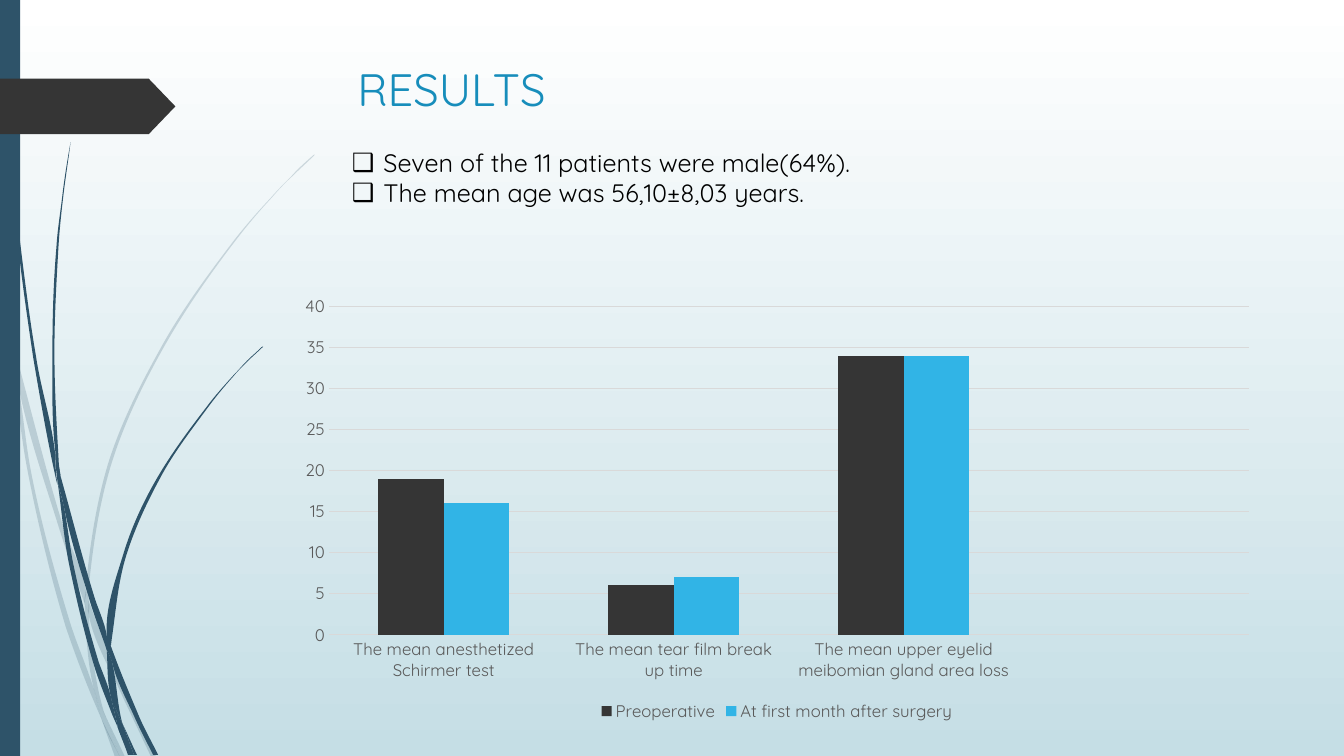
from dataclasses import dataclass
from math import hypot

from lxml.etree import SubElement
from pptx import Presentation
from pptx.chart.data import CategoryChartData
from pptx.dml.color import RGBColor
from pptx.enum.chart import XL_CHART_TYPE, XL_LEGEND_POSITION, XL_TICK_MARK
from pptx.enum.shapes import MSO_SHAPE
from pptx.enum.text import MSO_ANCHOR, MSO_AUTO_SIZE, PP_ALIGN
from pptx.oxml.ns import qn
from pptx.util import Pt


@dataclass(frozen=True)
class Theme:
    font: str = "Quicksand"
    title_size: float = 32.4
    body_size: float = 18
    chart_size: float = 12
    top: str = "FFFFFF"
    bottom: str = "C5DEE5"
    stem: str = "2E5369"
    dark: str = "353535"
    title: str = "178DBB"
    body: str = "000000"
    label: str = "595959"
    grid: str = "D9D9D9"
    accent: str = "31B4E6"


# Stem pieces: corner and curve points, in steps of STEM_UNIT
STEM_UNIT = Pt(0.72)
PALE_STEMS = [
    "11,350 9,322 0,282 0,299 10,344",
    "58,522 84,599 85,586 62,520 14,345 17,376",
    "92,607 88,596 88,610 123,694 150,751 155,751 127,692",
    "119,751 124,751 105,711",
    "93,683 70,619 31,469 17,376 11,350 28,470 65,621 92,693 101,714 99,707",
    "84,599 87,646 93,683 96,692 105,711 103,706 91,646 88,610 88,608",
    "88,584 110,462 160,349 229,245 268,198 290,175 312,154 312,153 "
    "289,175 268,197 228,244 158,348 107,461 85,584 85,586 88,596",
    "101,714 114,751 119,751",
    "88,608 88,610 88,596 85,586 84,599",
    "96,692 93,683 99,707 101,714 119,751 105,711",
]
DARK_STEMS = [
    "7,110 17,233 33,355 56,477 57,481 55,457 55,453 36,355 19,232 8,109 "
    "5,48 4,0 3,0 4,48",
    "88,592 106,645 106,633 106,631 93,590 60,472 64,505",
    "113,649 110,641 111,656 132,708 152,749 157,749 136,706",
    "110,691 98,657 72,556 64,505 57,477 68,557 93,659 111,708 117,722 116,717",
    "60,472 58,453 54,349 58,245 63,193 70,141 62,193 56,245 52,349 55,449",
    "133,749 136,749 122,719",
    "57,477 64,505 60,472 55,449 55,453",
    "111,633 125,552 158,476 205,406 231,374 245,359 261,344 260,344 "
    "245,358 231,373 204,405 156,474 122,551 106,631 110,641",
    "117,722 127,749 131,749",
    "106,645 110,691 116,706 122,719 121,716 111,656 109,651",
    "106,645 109,651 111,656 110,641 106,631 106,633",
    "116,706 110,691 116,717 117,722 130,749 133,749 122,719",
]


def curve_handles(points):
    """Two Bézier handles for each side of a closed outline; sharp corners stay."""
    count = len(points)
    lengths, directions = [], []
    for index, (x, y) in enumerate(points):
        next_x, next_y = points[(index + 1) % count]
        length = hypot(next_x - x, next_y - y)
        lengths.append(length)
        directions.append(((next_x - x) / length, (next_y - y) / length))

    def tangent(index, side):
        (ax, ay), (bx, by) = directions[index - 1], directions[index % count]
        if ax * bx + ay * by < 0.8:
            return directions[side]
        size = hypot(ax + bx, ay + by)
        return (ax + bx) / size, (ay + by) / size

    for side, (x, y) in enumerate(points):
        end_x, end_y = points[(side + 1) % count]
        reach = lengths[side] / 3
        out_x, out_y = tangent(side, side)
        in_x, in_y = tangent(side + 1, side)
        yield ((x + out_x * reach, y + out_y * reach),
               (end_x - in_x * reach, end_y - in_y * reach))


class SlideBuilder:
    def __init__(self, slide, theme):
        self.slide = slide
        self.theme = theme

    def style_font(self, font, size, color):
        font.name = self.theme.font
        font.size = Pt(size)
        font.color.rgb = RGBColor.from_string(color)

    def paint(self, shape, color):
        shape.shadow.inherit = False
        shape.fill.solid()
        shape.fill.fore_color.rgb = RGBColor.from_string(color)
        shape.line.fill.background()

    def background(self):
        fill = self.slide.background.fill
        fill.gradient()
        fill.gradient_angle = 270
        for stop, color in zip(fill.gradient_stops, (self.theme.top, self.theme.bottom)):
            stop.color.rgb = RGBColor.from_string(color)

    def stem(self, outline, opacity=100):
        points = [tuple(map(int, pair.split(","))) for pair in outline.split()]
        builder = self.slide.shapes.build_freeform(*points[0], scale=STEM_UNIT)
        builder.add_line_segments(points[1:] + points[:1], close=True)
        shape = builder.convert_to_shape()
        self.paint(shape, self.theme.stem)
        # Bend the straight sides
        left, top = (min(values) for values in zip(*points))
        sides = list(shape._element.iter(qn("a:lnTo")))
        for side, handles in zip(sides, curve_handles(points)):
            side.tag = qn("a:cubicBezTo")
            for position, (x, y) in enumerate(handles):
                handle = SubElement(side, qn("a:pt"))
                handle.set("x", str(round((x - left) * self.stem_scale(shape, points))))
                handle.set("y", str(round((y - top) * self.stem_scale(shape, points))))
                side.insert(position, handle)
        if opacity < 100:
            color = shape.fill._xPr.find(qn("a:solidFill"))[0]
            SubElement(color, qn("a:alpha")).set("val", str(opacity * 1000))

    def stem_scale(self, shape, points):
        """Geometry units per stem unit."""
        geometry = next(shape._element.iter(qn("a:path")))
        heights = [y for _, y in points]
        return int(geometry.get("h")) / (max(heights) - min(heights))

    def block(self, kind, left, top, width, height, color):
        shape = self.slide.shapes.add_shape(kind, Pt(left), Pt(top), Pt(width), Pt(height))
        self.paint(shape, color)
        return shape

    def place(self, placeholder, left, top, width, height):
        placeholder.left, placeholder.top = Pt(left), Pt(top)
        placeholder.width, placeholder.height = Pt(width), Pt(height)
        frame = placeholder.text_frame
        frame.word_wrap = True
        frame.auto_size = MSO_AUTO_SIZE.NONE
        frame.vertical_anchor = MSO_ANCHOR.TOP
        return frame

    def title(self, text, *box, indent):
        frame = self.place(self.slide.shapes.title, *box)
        frame.margin_left = Pt(indent)
        frame.text = text
        paragraph = frame.paragraphs[0]
        paragraph.alignment = PP_ALIGN.LEFT
        self.style_font(paragraph.runs[0].font, self.theme.title_size, self.theme.title)

    def bullets(self, lines, *box, indent):
        frame = self.place(self.slide.placeholders[1], *box)
        frame.text = "\n".join(lines)
        for paragraph in frame.paragraphs:
            properties = paragraph._p.get_or_add_pPr()
            properties.set("marL", str(Pt(indent)))
            properties.set("indent", str(-Pt(indent)))
            SubElement(properties, qn("a:buChar")).set("char", "❑")
            paragraph.space_before = Pt(0)
            self.style_font(paragraph.runs[0].font, self.theme.body_size, self.theme.body)

    def column_chart(self, categories, series, *box):
        data = CategoryChartData()
        data.categories = categories
        for name, values, _ in series:
            data.add_series(name, values)
        chart = self.slide.shapes.add_chart(
            XL_CHART_TYPE.COLUMN_CLUSTERED, *map(Pt, box), data).chart
        chart.has_title = False
        chart.has_legend = True
        chart.legend.position = XL_LEGEND_POSITION.BOTTOM
        chart.legend.include_in_layout = False
        value_axis = chart.value_axis
        for axis in (chart.category_axis, value_axis):
            axis.major_tick_mark = axis.minor_tick_mark = XL_TICK_MARK.NONE
            axis.format.line.fill.background()
        for font in (chart.font, chart.legend.font, value_axis.tick_labels.font,
                     chart.category_axis.tick_labels.font):
            self.style_font(font, self.theme.chart_size, self.theme.label)
        value_axis.minimum_scale, value_axis.maximum_scale = 0, 40
        value_axis.major_unit = 5
        grid = value_axis.major_gridlines.format.line
        grid.width = Pt(0.75)
        grid.color.rgb = RGBColor.from_string(self.theme.grid)
        plot = chart.plots[0]
        plot.vary_by_categories = False
        plot.gap_width, plot.overlap = 150, 0
        for columns, (_, _, color) in zip(plot.series, series):
            columns.format.fill.solid()
            columns.format.fill.fore_color.rgb = RGBColor.from_string(color)


# Backdrop: gradient, stems, side bar and arrow tab
presentation = Presentation()
presentation.slide_width, presentation.slide_height = Pt(960), Pt(540)
theme = Theme()
builder = SlideBuilder(presentation.slides.add_slide(presentation.slide_layouts[1]), theme)
builder.background()
for stems, opacity in ((PALE_STEMS, 20), (DARK_STEMS, 100)):
    for outline in stems:
        builder.stem(outline, opacity)
builder.block(MSO_SHAPE.RECTANGLE, 0, 0, 14.4, 540, theme.stem)
tab = builder.block(MSO_SHAPE.PENTAGON, 0, 56.2, 125.3, 39.6, theme.dark)
tab.adjustments[0] = 0.48

# Title and findings
builder.title("RESULTS", 204, 40.3, 702, 92, indent=51.2)
builder.bullets(["Seven of the 11 patients were male(64%).", "The mean age was 56,10±8,03 years."],
                244.2, 101.5, 534, 51, indent=22.5)

# Test results before and after surgery; the last category stays empty
builder.column_chart(
    ["The mean anesthetized Schirmer test", "The mean tear film break up time",
     "The mean upper eyelid meibomian gland area loss", ""],
    [("Preoperative", (19, 6, 34, None), theme.dark),
     ("At first month after surgery", (16, 7, 34, None), theme.accent)],
    204, 205.2, 702, 313.2)
presentation.save("out.pptx")
